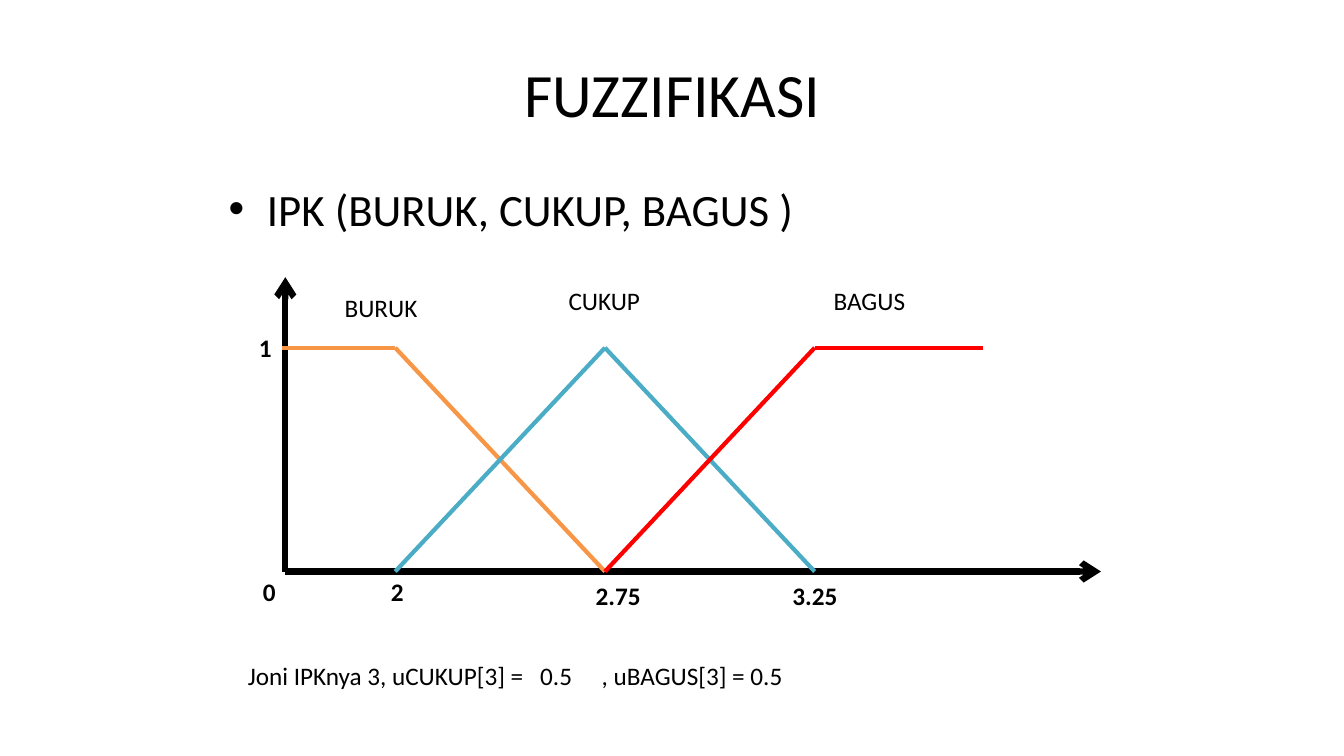
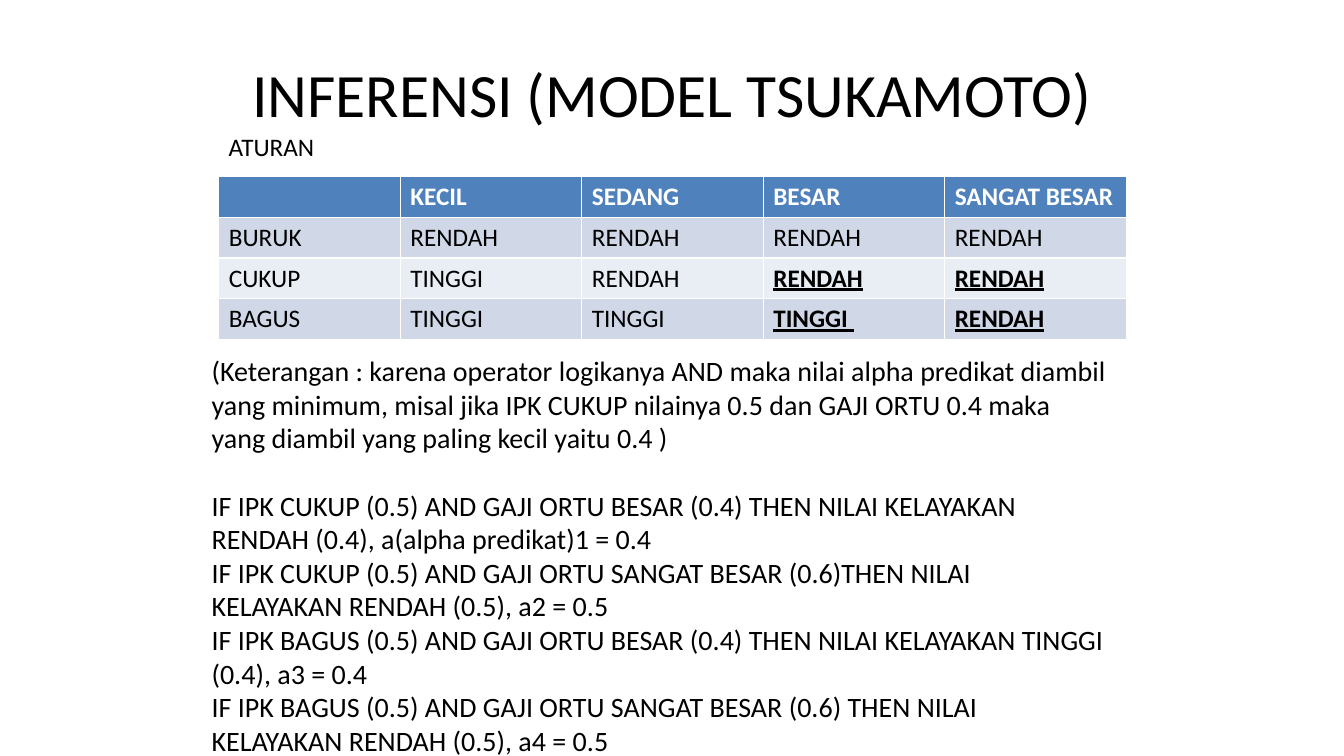
from pptx import Presentation
from pptx.dml.color import RGBColor
from pptx.enum.shapes import MSO_CONNECTOR
from pptx.enum.text import MSO_ANCHOR, PP_ALIGN
from pptx.oxml.ns import qn
from pptx.util import Inches, Pt
from lxml.etree import SubElement

COLORS = {
    "text": "000000", "white": "FFFFFF", "header": "4F81BD",
    "band_dark": "D0D8E8", "band_light": "E9EDF4",
    "buruk": "F79646", "cukup": "4BACC6", "bagus": "FF0000",
}
TITLE = {"size": Pt(44)}
BULLET = {"size": Pt(32)}
LABEL = {"size": Pt(18)}
BOLD = {"size": Pt(18), "bold": True}
MARKED = {"size": Pt(18), "bold": True, "underline": True}
BODY = {"size": Pt(20)}


def write(para, text, style, color="text"):
    span = para.add_run()
    span.text = text
    span.font.name = "Calibri"
    span.font.color.rgb = RGBColor.from_string(COLORS[color])
    for name, value in style.items():
        setattr(span.font, name, value)


def add_text(page, place, text, style, wrap=False):
    box = page.shapes.add_textbox(*[Inches(length) for length in place])
    box.text_frame.word_wrap = wrap
    write(box.text_frame.paragraphs[0], text, style)
    return box.text_frame


deck = Presentation()
deck.slide_width, deck.slide_height = Inches(13.33), Inches(7.5)

# Both pages share the title style
pages = []
for title in ["FUZZIFIKASI", "INFERENSI (MODEL TSUKAMOTO)"]:
    page = deck.slides.add_slide(deck.slide_layouts[6])
    frame = add_text(page, (0.67, 0.3, 12, 1.25), title, TITLE, wrap=True)
    frame.vertical_anchor = MSO_ANCHOR.MIDDLE
    frame.paragraphs[0].alignment = PP_ALIGN.CENTER
    pages.append(page)
fuzzy_page, rules_page = pages

# Bullet line
frame = add_text(fuzzy_page, (2.17, 1.75, 9, 0.67),
                 "IPK (BURUK, CUKUP, BAGUS )", BULLET, wrap=True)
properties = frame.paragraphs[0]._p.get_or_add_pPr()
properties.set("marL", str(Inches(0.38)))
properties.set("indent", str(-Inches(0.38)))
SubElement(properties, qn("a:buFont"), typeface="Arial")
SubElement(properties, qn("a:buChar"), char="•")

# Axes and membership functions
origin, base, top = 2.83, 5.67, 3.45
low, middle, high = 3.92, 6, 8.08
curves = [
    ("text", 4.5, [(origin, base), (origin, 2.75)]),
    ("text", 4.5, [(origin, base), (10.92, base)]),
    ("buruk", 3, [(2.8, top), (low, top), (middle, base)]),
    ("cukup", 3, [(low, base), (middle, top), (high, base)]),
    ("bagus", 3, [(middle, base), (high, top), (9.75, top)]),
]
for color, width, points in curves:
    for start, end in zip(points, points[1:]):
        line = fuzzy_page.shapes.add_connector(
            MSO_CONNECTOR.STRAIGHT, *[Inches(length) for length in start + end])
        line.line.color.rgb = RGBColor.from_string(COLORS[color])
        line.line.width = Pt(width)
        if color == "text":
            SubElement(line.line._get_or_add_ln(), qn("a:tailEnd"), type="arrow")
        SubElement(line._element.spPr, qn("a:effectLst"))

# Axis values and set names
labels = [
    ("0", 2.51, 5.67, 0.33, BOLD), ("1", 2.47, 3.25, 0.33, BOLD),
    ("2", 3.78, 5.67, 0.33, BOLD), ("2.75", 5.81, 5.71, 0.65, BOLD),
    ("3.25", 7.76, 5.71, 0.65, BOLD), ("BURUK", 3.32, 2.85, 0.93, LABEL),
    ("CUKUP", 5.54, 2.78, 0.92, LABEL), ("BAGUS", 8.17, 2.78, 0.97, LABEL),
]
for text, left, label_top, width, style in labels:
    add_text(fuzzy_page, (left, label_top, width, 0.4), text, style)

# Example, with its values set on tab stops
frame = add_text(fuzzy_page, (2.36, 6.5, 6, 0.4),
                 "Joni IPKnya 3, uCUKUP[3] =\t0.5\t, uBAGUS[3] = 0.5", LABEL, wrap=True)
tabs = SubElement(frame.paragraphs[0]._p.get_or_add_pPr(), qn("a:tabLst"))
for stop in [2.9, 3.51]:
    SubElement(tabs, qn("a:tab"), pos=str(Inches(stop)), algn="l")

# Rule table
rules = [
    ["", "KECIL", "SEDANG", "BESAR", "SANGAT BESAR"],
    ["BURUK", "RENDAH", "RENDAH", "RENDAH", "RENDAH"],
    ["CUKUP", "TINGGI", "RENDAH", "RENDAH", "RENDAH"],
    ["BAGUS", "TINGGI", "TINGGI", "TINGGI ", "RENDAH"],
]
table = rules_page.shapes.add_table(
    4, 5, Inches(2.17), Inches(1.75), Inches(9), Inches(1.62)).table
fills = ["header", "band_dark", "band_light", "band_dark"]
for row, (texts, fill) in enumerate(zip(rules, fills)):
    for column, text in enumerate(texts):
        cell = table.cell(row, column)
        cell.fill.solid()
        cell.fill.fore_color.rgb = RGBColor.from_string(COLORS[fill])
        style = BOLD if row == 0 else MARKED if row > 1 and column > 2 else LABEL
        if text:
            write(cell.text_frame.paragraphs[0], text, style,
                  "white" if row == 0 else "text")

add_text(rules_page, (2.17, 1.25, 1.06, 0.4), "ATURAN", LABEL)

# Explanation and evaluated rules
frame = add_text(
    rules_page, (2, 3.46, 9.08, 4.14),
    "(Keterangan : karena operator logikanya AND maka nilai alpha predikat diambil "
    "yang minimum, misal jika IPK CUKUP nilainya 0.5 dan GAJI ORTU 0.4 maka "
    "yang diambil yang paling kecil yaitu 0.4 )", BODY, wrap=True)
conclusions = [
    "CUKUP (0.5) AND GAJI ORTU BESAR (0.4) THEN NILAI KELAYAKAN RENDAH (0.4), "
    "a(alpha predikat)1 = 0.4",
    "CUKUP (0.5) AND GAJI ORTU SANGAT BESAR (0.6)THEN NILAI KELAYAKAN RENDAH (0.5), a2 = 0.5",
    "BAGUS (0.5) AND GAJI ORTU BESAR (0.4) THEN NILAI KELAYAKAN TINGGI (0.4), a3 = 0.4",
    "BAGUS (0.5) AND GAJI ORTU SANGAT BESAR (0.6) THEN NILAI KELAYAKAN RENDAH (0.5), a4 = 0.5",
]
for conclusion in conclusions:
    write(frame.add_paragraph(), "IF IPK " + conclusion, BODY)
frame.paragraphs[1].space_before = Pt(24)

deck.save("out.pptx")
